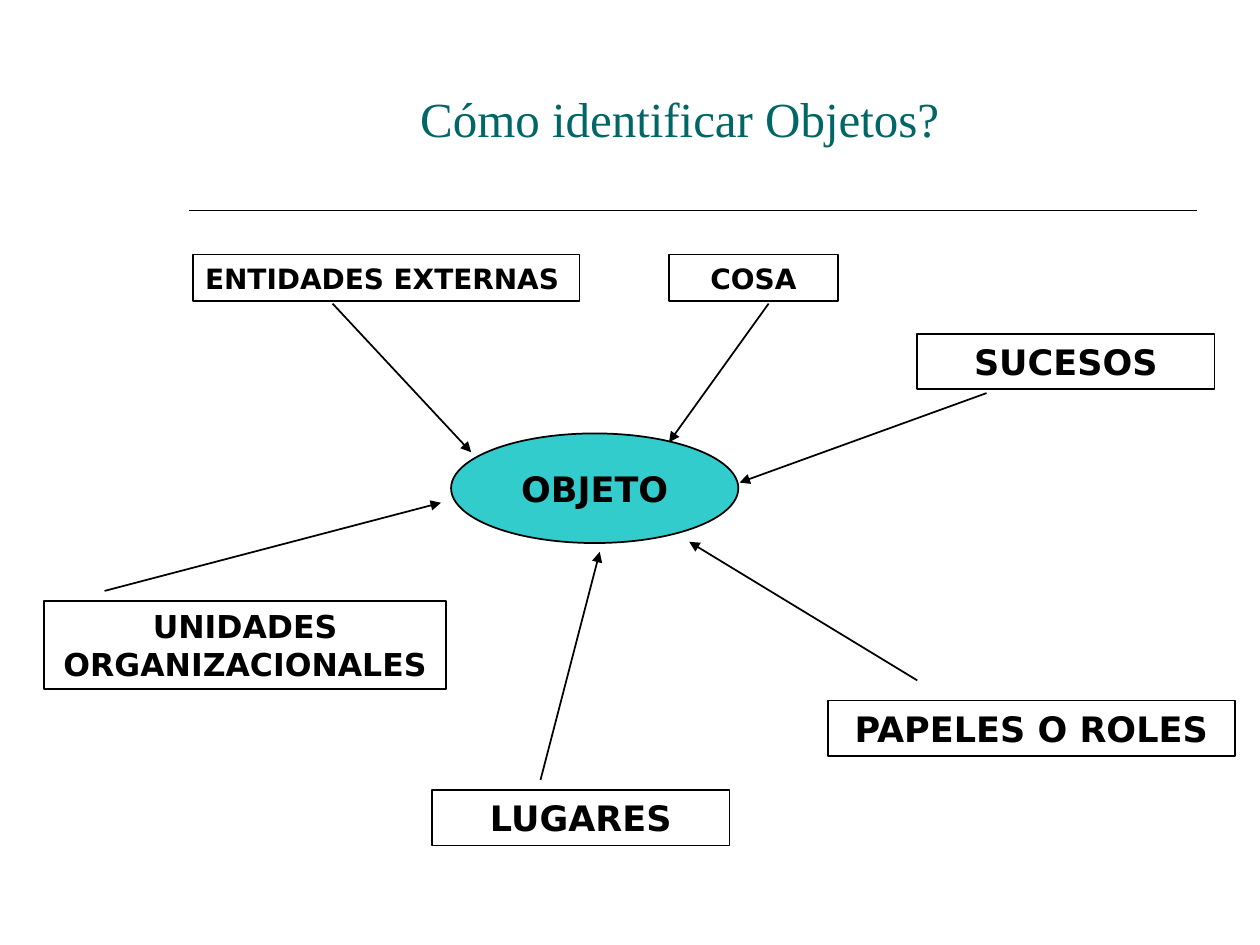
from lxml.etree import SubElement
from pptx import Presentation
from pptx.dml.color import RGBColor
from pptx.enum.shapes import MSO_CONNECTOR, MSO_SHAPE
from pptx.enum.text import MSO_ANCHOR, PP_ALIGN
from pptx.oxml.ns import qn
from pptx.util import Inches, Pt

# The slide is a grid of 100 columns by 75 rows of square cells
COLUMNS, ROWS = 100, 75
CELL = Inches(0.1)

COLORS = {"title": "006666", "object": "33CCCC", "ink": "000000"}
TITLE_FONT, LABEL_FONT = "Times New Roman", "DejaVu Sans"

# Text, size, alignment, box (column, row, width, height), arrow start and end
SOURCES = [
    ("ENTIDADES EXTERNAS", 16, PP_ALIGN.LEFT, (15.3, 20.2, 30.7, 3.7), (26.4, 24.1), (37.4, 35.9)),
    ("COSA", 16, PP_ALIGN.CENTER, (53.1, 20.2, 13.4, 3.7), (61, 24.1), (53.1, 35.1)),
    ("SUCESOS", 20, PP_ALIGN.CENTER, (72.8, 26.5, 23.6, 4.4), (78.3, 31.2), (58.7, 38.3)),
    ("PAPELES O ROLES", 20, PP_ALIGN.CENTER, (65.7, 55.6, 32.3, 4.4), (72.8, 54), (54.7, 43)),
    ("LUGARES", 20, PP_ALIGN.CENTER, (34.3, 62.7, 23.6, 4.4), (42.9, 61.9), (47.6, 43.8)),
    ("UNIDADES ORGANIZACIONALES", 18, PP_ALIGN.CENTER, (3.5, 47.7, 31.9, 7), (8.3, 46.9), (35, 39.9)),
]


def cells(*values):
    return [round(value * CELL) for value in values]


def color(name):
    return RGBColor.from_string(COLORS[name])


def set_text(shape, text, size, font_name, color_name, bold=False, alignment=PP_ALIGN.CENTER):
    frame = shape.text_frame
    frame.text = text
    frame.word_wrap = True
    frame.vertical_anchor = MSO_ANCHOR.MIDDLE
    paragraph = frame.paragraphs[0]
    paragraph.alignment = alignment
    font = paragraph.runs[0].font
    font.name, font.size, font.bold = font_name, Pt(size), bold
    font.color.rgb = color(color_name)


def add_title(slide, text, box):
    title = slide.shapes.title
    title.left, title.top, title.width, title.height = cells(*box)
    set_text(title, text, 28, TITLE_FONT, "title")


def add_label(slide, kind, text, size, box, alignment=PP_ALIGN.CENTER, fill=None):
    shape = slide.shapes.add_shape(kind, *cells(*box))
    shape.shadow.inherit = False
    if fill:
        shape.fill.solid()
        shape.fill.fore_color.rgb = color(fill)
    else:
        shape.fill.background()
    shape.line.color.rgb = color("ink")
    shape.line.width = Pt(1)
    set_text(shape, text, size, LABEL_FONT, "ink", True, alignment)


def add_line(slide, start, end, arrow=False):
    connector = slide.shapes.add_connector(MSO_CONNECTOR.STRAIGHT, *cells(*start, *end))
    connector.line.color.rgb = color("ink")
    connector.line.width = Pt(1)
    if arrow:
        SubElement(connector.line._get_or_add_ln(), qn("a:tailEnd"), type="triangle")
    SubElement(connector._element.spPr, qn("a:effectLst"))


def main():
    presentation = Presentation()
    presentation.slide_width, presentation.slide_height = cells(COLUMNS, ROWS)
    slide = presentation.slides.add_slide(presentation.slide_layouts[5])

    # Heading and its rule
    add_line(slide, (15, 16.7), (95, 16.7))
    add_title(slide, "Cómo identificar Objetos?", (20.9, 6, 66.1, 6.7))

    # Central object
    add_label(slide, MSO_SHAPE.OVAL, "OBJETO", 20, (35.8, 34.4, 22.8, 8.7), fill="object")

    # Sources pointing at the object
    for text, size, alignment, box, start, end in SOURCES:
        add_label(slide, MSO_SHAPE.RECTANGLE, text, size, box, alignment)
        add_line(slide, start, end, arrow=True)

    presentation.save("out.pptx")


if __name__ == "__main__":
    main()
